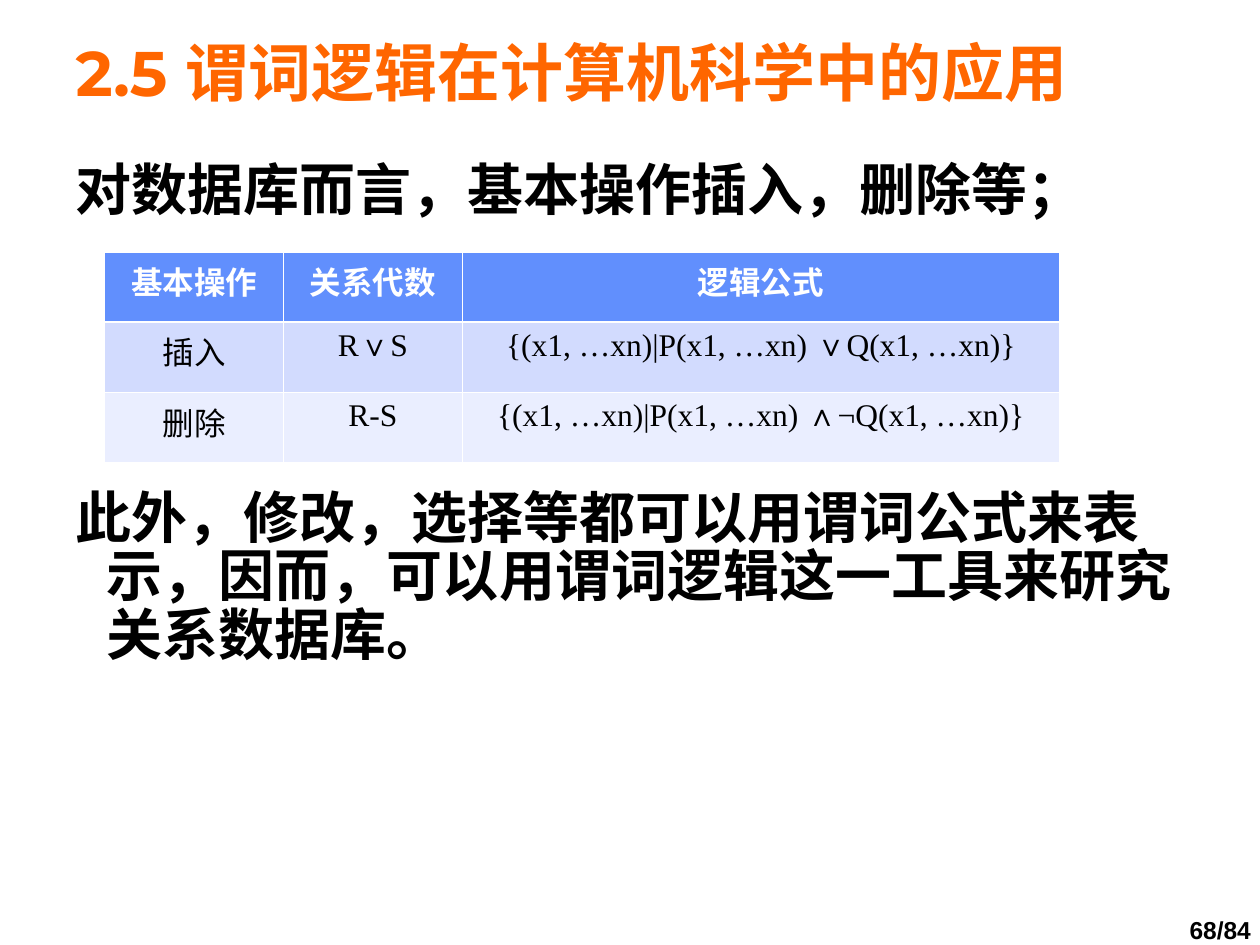
"""Build the slide on predicate logic for basic database operations."""
from dataclasses import dataclass

from lxml.etree import SubElement
from pptx import Presentation
from pptx.dml.color import RGBColor as Rgb
from pptx.enum.text import MSO_ANCHOR as Anchor, PP_ALIGN as Align
from pptx.oxml.ns import qn
from pptx.util import Inches, Pt


@dataclass(frozen=True)
class Theme:
    title: str = "FF6600"
    text: str = "000000"
    white: str = "FFFFFF"
    row_fills: tuple = ("618FFD", "D2DBFE", "EAEEFF")
    title_size: int = 36
    body_size: int = 32
    table_size: int = 18
    page_size: int = 14
    title_font: str = "Montserrat"
    body_font: str = "Times New Roman"
    page_font: str = "Arial"
    thin_line: float = 0.45
    header_line: float = 1.47


theme = Theme()


def style(paragraph, font_name, size, color, bold=True, align=Align.LEFT):
    paragraph.alignment = align
    paragraph.font.name = font_name
    paragraph.font.size = Pt(size)
    paragraph.font.bold = bold
    paragraph.font.color.rgb = Rgb.from_string(color)


def add_borders(cell, top, bottom):
    cell_props = cell._tc.get_or_add_tcPr()
    widths = {"lnL": theme.thin_line, "lnR": theme.thin_line, "lnT": top, "lnB": bottom}
    for position, (side, width) in enumerate(widths.items()):
        line = SubElement(cell_props, qn(f"a:{side}"), w=str(Pt(width)))
        fill = SubElement(line, qn("a:solidFill"))
        SubElement(fill, qn("a:srgbClr"), val=theme.white)
        cell_props.insert(position, line)


presentation = Presentation()
presentation.slide_width = Inches(10)
presentation.slide_height = Inches(7.5)
slide = presentation.slides.add_slide(presentation.slide_layouts[5])

page_number = slide.shapes.add_textbox(Inches(8.98), Inches(7.25), Inches(1.41), Inches(0.3))
page_number.text_frame.word_wrap = False
page_number.text_frame.vertical_anchor = Anchor.MIDDLE
page_number.text_frame.text = "68/84"
page_line = page_number.text_frame.paragraphs[0]
page_line.line_spacing = 0.85
style(page_line, theme.page_font, theme.page_size, theme.text, align=Align.CENTER)

title = slide.shapes.title
title.left, title.top = Inches(0.5), Inches(0.25)
title.width, title.height = Inches(9), Inches(0.7)
title.text_frame.text = "2.5 谓词逻辑在计算机科学中的应用"
title.text_frame.vertical_anchor = Anchor.MIDDLE
heading = title.text_frame.paragraphs[0]
heading.line_spacing = 0.93
style(heading, theme.title_font, theme.title_size, theme.title)

body = slide.shapes.add_textbox(Inches(0.5), Inches(1.25), Inches(9), Inches(6)).text_frame
body.word_wrap = True
body.text = (
    "对数据库而言，基本操作插入，删除等；\n"
    "此外，修改，选择等都可以用谓词公式来表示，因而，可以用谓词逻辑这一工具来研究关系数据库。"
)
for statement, space_before in zip(body.paragraphs, (13.5, 154)):
    statement.line_spacing = 0.87
    statement.space_before = Pt(space_before)
    indent_props = statement._p.get_or_add_pPr()
    indent_props.set("marL", str(Inches(0.25)))
    indent_props.set("indent", str(Inches(-0.25)))
    style(statement, theme.body_font, theme.body_size, theme.text)

operations = (
    ("基本操作", "关系代数", "逻辑公式"),
    ("插入", "R∨S", "{(x1, …xn)|P(x1, …xn) ∨Q(x1, …xn)}"),
    ("删除", "R-S", "{(x1, …xn)|P(x1, …xn) ∧¬Q(x1, …xn)}"),
)
column_widths = (1.42, 1.42, 4.74)
table = slide.shapes.add_table(
    len(operations), len(column_widths),
    Inches(0.83), Inches(2), Inches(sum(column_widths)), Inches(1.67),
).table
table.horz_banding = False
for column, width in zip(table.columns, column_widths):
    column.width = Inches(width)

for row_index, (operation, row_fill) in enumerate(zip(operations, theme.row_fills)):
    is_header = row_index == 0
    top = theme.header_line if row_index == 1 else theme.thin_line
    bottom = theme.header_line if is_header else theme.thin_line
    for column_index, content in enumerate(operation):
        cell = table.cell(row_index, column_index)
        cell.text = content
        cell.fill.solid()
        cell.fill.fore_color.rgb = Rgb.from_string(row_fill)
        add_borders(cell, top, bottom)
        style(
            cell.text_frame.paragraphs[0], theme.body_font, theme.table_size,
            theme.white if is_header else theme.text, is_header, Align.CENTER,
        )

presentation.save("out.pptx")
